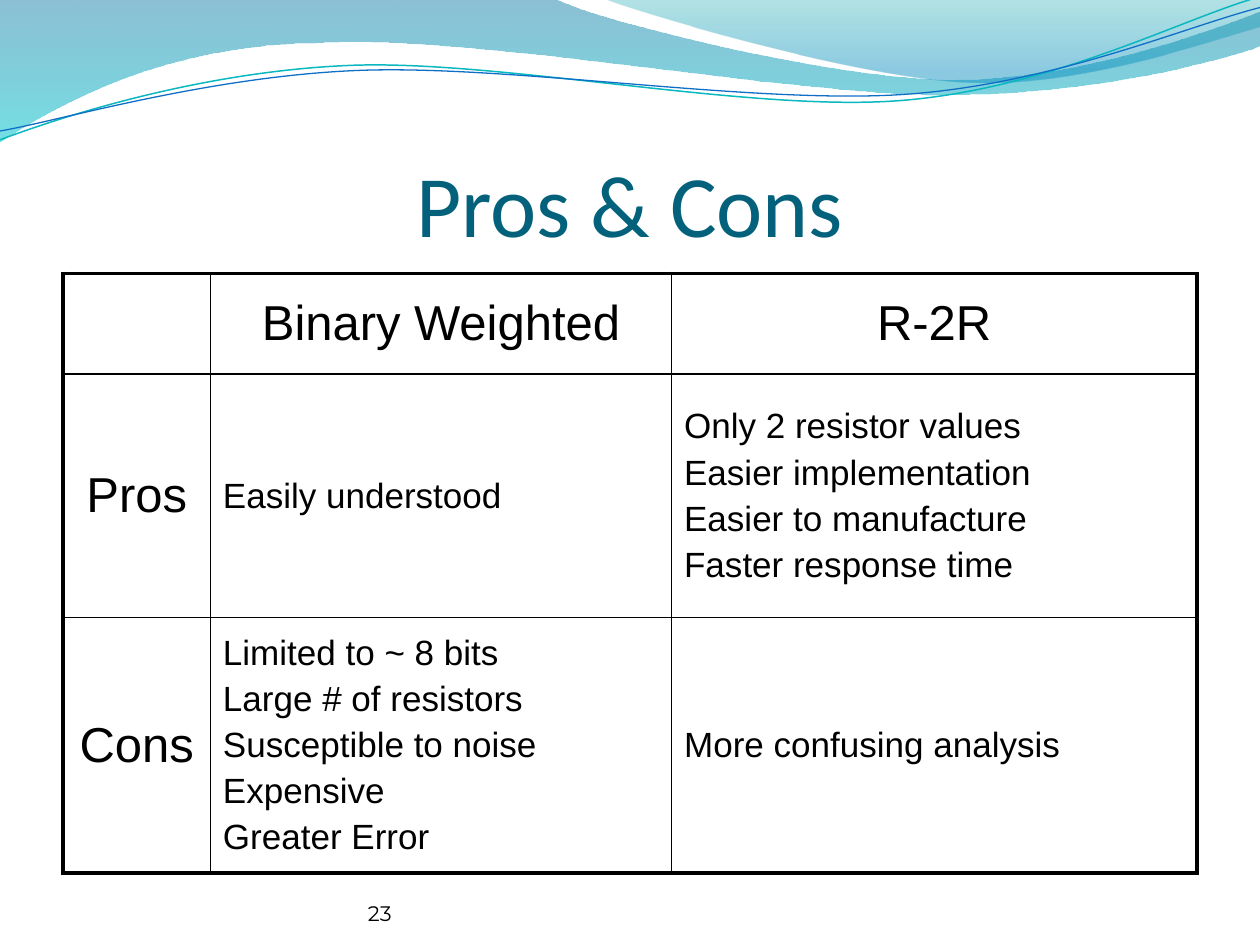
from lxml import etree
from pptx import Presentation
from pptx.dml.color import RGBColor
from pptx.enum.text import MSO_ANCHOR, PP_ALIGN
from pptx.oxml.ns import qn
from pptx.util import Emu, Pt

MIDDLE, BOTTOM = MSO_ANCHOR.MIDDLE, MSO_ANCHOR.BOTTOM
LEFT, CENTER = PP_ALIGN.LEFT, PP_ALIGN.CENTER
EMU_PER_PX = 9144  # 100 px to the inch
BLACK = "000000"

# Each wave is a start point followed by lines (2 numbers) and curves (6 numbers)
WIDE_BAND = [(0, -1), (440, -1), (476, 17, 664, 63, 758, 63), (853, 63, 958, 26, 1000, 9),
             (1001, 36), (983, 44, 870, 76, 746, 75), (622, 75, 382, 28, 257, 34),
             (129, 35, 46, 83, -1, 113)]
RIGHT_BAND = [(479, -1), (509, 11, 682, 62, 769, 65), (856, 69, 961, 32, 1000, 21), (1000, 0)]
TEAL_LINE = [(0, 111), (48, 93, 158, 57, 277, 52), (395, 47, 593, 89, 713, 80),
             (833, 71, 938, 15, 998, -2)]
BLUE_LINE = [(0, 104), (47, 96, 164, 61, 283, 56), (403, 51, 597, 83, 717, 75),
             (836, 67, 941, 21, 1000, 6)]

COLUMN_WIDTHS = [117, 366, 417]
ROW_HEIGHTS = [80, 193, 203]
COMPARISON = [
    [[], ["Binary Weighted"], ["R-2R"]],
    [["Pros"], ["Easily understood"],
     ["Only 2 resistor values", "Easier implementation",
      "Easier to manufacture", "Faster response time"]],
    [["Cons"],
     ["Limited to ~ 8 bits", "Large # of resistors", "Susceptible to noise",
      "Expensive", "Greater Error"],
     ["More confusing analysis"]],
]


def px(value):
    return Emu(value * EMU_PER_PX)


def color(hex_string):
    return RGBColor.from_string(hex_string)


def format_paragraph(paragraph, font_name, size, hex_string, alignment):
    paragraph.alignment = alignment
    for run in paragraph.runs:
        run.font.name = font_name
        run.font.size = Pt(size)
        run.font.color.rgb = color(hex_string)


def add_label(slide, box, text, font_name, size, hex_string, alignment, top_inset=0):
    text_frame = slide.shapes.add_textbox(*map(px, box)).text_frame
    text_frame.word_wrap = True
    text_frame.vertical_anchor = BOTTOM
    text_frame.margin_left = text_frame.margin_right = text_frame.margin_bottom = 0
    text_frame.margin_top = px(top_inset)
    text_frame.text = text
    format_paragraph(text_frame.paragraphs[0], font_name, size, hex_string, alignment)


# Waves at the top
def bend_lines(shape, wave):
    """Join each run of three lines that stands for a curve into one Bezier segment."""
    lines = iter(list(shape.element.spPr.iter(qn("a:lnTo"))))
    for step in wave[1:]:
        segment = next(lines)
        if len(step) == 6:
            segment.tag = qn("a:cubicBezTo")
            for _ in range(2):
                line = next(lines)
                segment.append(line[0])
                line.getparent().remove(line)


def add_wave(slide, left, top, wave, closed):
    points = [(px(left + x), px(top + y))
              for step in wave for x, y in zip(step[::2], step[1::2])]
    builder = slide.shapes.build_freeform(*points[0])
    builder.add_line_segments(points[1:], close=closed)
    shape = builder.convert_to_shape()
    shape.shadow.inherit = False
    bend_lines(shape, wave)
    return shape


def add_band(slide, left, top, wave, stops):
    shape = add_wave(slide, left, top, wave, True)
    shape.line.fill.background()
    shape.fill.gradient()
    shape.fill.gradient_angle = 270
    for stop, (position, hex_string, _) in zip(shape.fill.gradient_stops, stops):
        stop.position = position
        stop.color.rgb = color(hex_string)
    for element, (_, _, opacity) in zip(shape.element.spPr.iter(qn("a:srgbClr")), stops):
        etree.SubElement(element, qn("a:alpha"), val=str(opacity * 1000))


def add_curve(slide, left, top, wave, hex_string, width):
    shape = add_wave(slide, left, top, wave, False)
    shape.fill.background()
    shape.line.color.rgb = color(hex_string)
    shape.line.width = Pt(width)


def add_header_waves(slide, left, top):
    add_band(slide, left, top, WIDE_BAND, [(0, "0074A1", 45), (1, "00C6CF", 55)])
    add_band(slide, left, top, RIGHT_BAND, [(0, "00A1A9", 30), (0.8, "008BBF", 45)])
    add_curve(slide, left, top, TEAL_LINE, "0AB8BF", 0.85)
    add_curve(slide, left, top, BLUE_LINE, "0F6FC6", 0.75)


# Comparison table
def set_borders(cell, outer_sides):
    properties = cell._tc.get_or_add_tcPr()
    for side in "LRTB":
        width = Pt(2.25 if side in outer_sides else 1)
        line = etree.SubElement(properties, qn(f"a:ln{side}"), w=str(width))
        fill = etree.SubElement(line, qn("a:solidFill"))
        etree.SubElement(fill, qn("a:srgbClr"), val=BLACK)


def fill_cell(cell, lines, is_heading):
    cell.vertical_anchor = MIDDLE
    cell.text_frame.text = "\n".join(lines)
    for index, paragraph in enumerate(cell.text_frame.paragraphs):
        format_paragraph(paragraph, "Arial", 28 if is_heading else 20, BLACK,
                         CENTER if is_heading else LEFT)
        if index:
            paragraph.space_before = Pt(4)


def add_comparison(slide, left, top):
    box = left, top, sum(COLUMN_WIDTHS), sum(ROW_HEIGHTS)
    row_count, column_count = len(ROW_HEIGHTS), len(COLUMN_WIDTHS)
    table = slide.shapes.add_table(row_count, column_count, *map(px, box)).table
    table.first_row = table.horz_banding = False
    for column, width in zip(table.columns, COLUMN_WIDTHS):
        column.width = px(width)
    for row, height in zip(table.rows, ROW_HEIGHTS):
        row.height = px(height)
    for r, row_texts in enumerate(COMPARISON):
        for c, lines in enumerate(row_texts):
            cell = table.cell(r, c)
            edges = {"L": c == 0, "R": c == column_count - 1,
                     "T": r == 0, "B": r == row_count - 1}
            set_borders(cell, [side for side, is_outer in edges.items() if is_outer])
            cell.fill.background()
            fill_cell(cell, lines, r == 0 or c == 0)


def main():
    presentation = Presentation()
    presentation.slide_width, presentation.slide_height = px(1000), px(750)
    slide = presentation.slides.add_slide(presentation.slide_layouts[6])
    add_header_waves(slide, 0, 0)
    add_label(slide, (292, 695, 367, 40), "23", "Montserrat", 12, BLACK, LEFT)
    add_label(slide, (50, 77, 900, 125), "Pros & Cons", "Calibri", 50, "04617B", CENTER, 5)
    add_comparison(slide, 50, 217)
    presentation.save("out.pptx")


if __name__ == "__main__":
    main()
